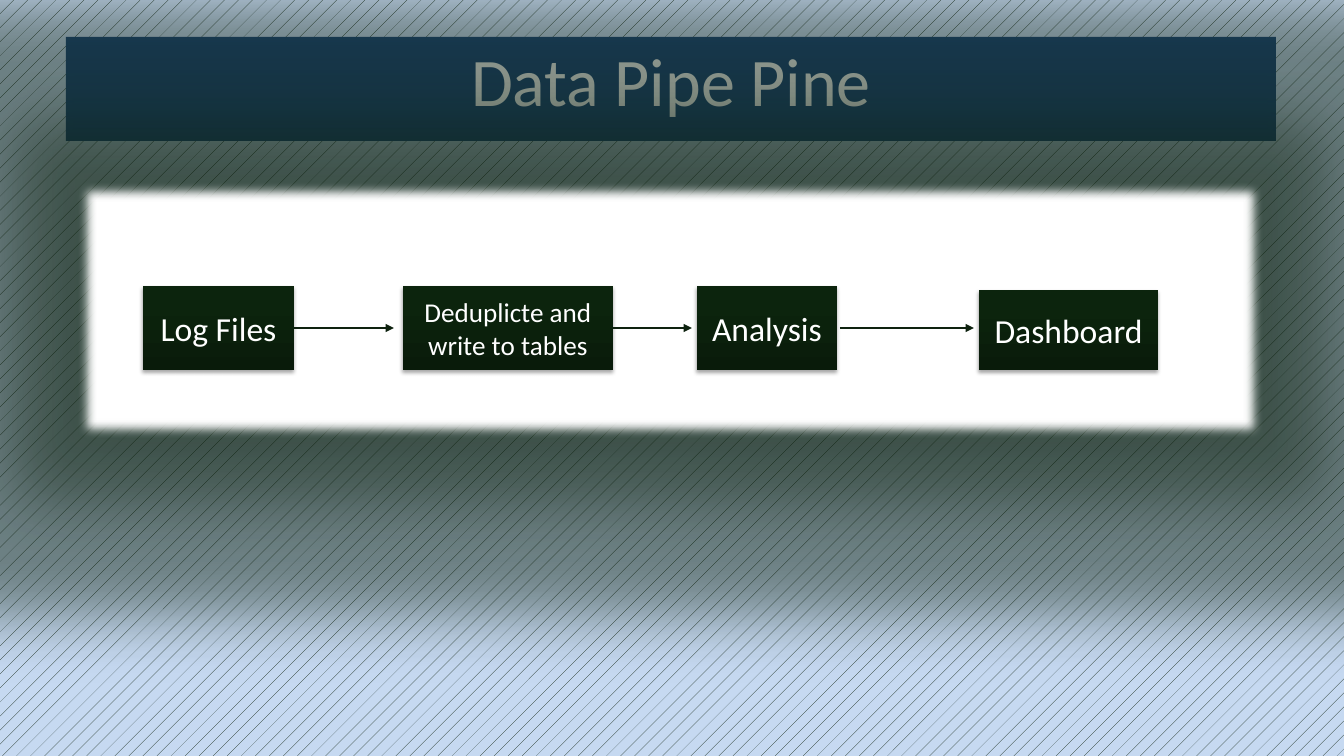
from dataclasses import dataclass

import lxml.etree
import pptx
import pptx.dml.color
import pptx.enum.dml
import pptx.enum.shapes
import pptx.enum.text
import pptx.oxml
import pptx.oxml.ns
import pptx.util
from pptx.shapes.autoshape import Shape
from pptx.slide import Slide

EMU_PER_PX = 914400 / 100.8
DARK_GREEN = "0E220F"
WHITE = "FFFFFF"
ARROW_Y = 328


@dataclass
class Box:
    left: int
    top: int
    width: int
    height: int


@dataclass
class Stage:
    label: str
    box: Box
    size: float = 24


@dataclass
class Arrow:
    start: int
    end: int


TITLE = Box(66, 37, 1210, 104)
PANEL = Box(79, 184, 1184, 254)
STAGES = [
    Stage("Log Files", Box(143, 286, 151, 84)),
    Stage("Deduplicte and write to tables", Box(403, 286, 210, 84), 19.4),
    Stage("Analysis", Box(697, 286, 140, 84)),
    Stage("Dashboard", Box(979, 290, 179, 80)),
]
ARROWS = [Arrow(294, 394), Arrow(613, 692), Arrow(840, 974)]


def px(length: int) -> int:
    return round(length * EMU_PER_PX)


def color(value: str) -> pptx.dml.color.RGBColor:
    return pptx.dml.color.RGBColor.from_string(value)


def effects_xml(*effects: str) -> lxml.etree._Element:
    namespace = pptx.oxml.ns.nsdecls("a")
    return pptx.oxml.parse_xml(f"<a:effectLst {namespace}>{''.join(effects)}</a:effectLst>")


def tint(value: str, percent: int) -> str:
    return f'<a:srgbClr val="{value}"><a:alpha val="{percent * 1000}"/></a:srgbClr>'


def shadow(blur: int, distance: int, value: str, percent: int) -> str:
    """Downward shadow, with blur and distance in px."""
    return (
        f'<a:outerShdw blurRad="{px(blur)}" dist="{px(distance)}" dir="5400000" '
        f'rotWithShape="0">{tint(value, percent)}</a:outerShdw>'
    )


def add_box(slide: Slide, box: Box) -> Shape:
    shape = slide.shapes.add_shape(
        pptx.enum.shapes.MSO_SHAPE.RECTANGLE,
        px(box.left), px(box.top), px(box.width), px(box.height),
    )
    shape.shadow.inherit = False
    shape.line.fill.background()
    return shape


def fill_solid(shape: Shape, value: str) -> None:
    shape.fill.solid()
    shape.fill.fore_color.rgb = color(value)


def set_effects(shape: Shape, *effects: str) -> None:
    properties = shape._element.spPr
    properties.replace(properties.find(pptx.oxml.ns.qn("a:effectLst")), effects_xml(*effects))


def write_centred(shape: Shape, text: str, size: float) -> None:
    frame = shape.text_frame
    frame.word_wrap = True
    frame.vertical_anchor = pptx.enum.text.MSO_ANCHOR.MIDDLE
    paragraph = frame.paragraphs[0]
    paragraph.alignment = pptx.enum.text.PP_ALIGN.CENTER
    run = paragraph.add_run()
    run.text = text
    run.font.color.rgb = color(WHITE)
    for name, value in {"name": "Calibri", "size": pptx.util.Pt(size)}.items():
        setattr(run.font, name, value)


def add_title(slide: Slide) -> None:
    banner = add_box(slide, TITLE)
    fill_solid(banner, "1F497D")
    write_centred(banner, "Data Pipe Pine", 48.6)
    margins = {"margin_left": 13, "margin_right": 13, "margin_top": 7, "margin_bottom": 13}
    for name, value in margins.items():
        setattr(banner.text_frame, name, px(value))
    banner.text_frame.paragraphs[0].line_spacing = 0.85


def add_panel(slide: Slide) -> None:
    panel = add_box(slide, PANEL)
    fill_solid(panel, WHITE)
    set_effects(
        panel,
        f'<a:glow rad="{px(127)}">{tint(DARK_GREEN, 40)}</a:glow>',
        shadow(45, 3, DARK_GREEN, 40),
        f'<a:softEdge rad="{px(7)}"/>',
    )


def add_stage(slide: Slide, stage: Stage) -> None:
    block = add_box(slide, stage.box)
    block.fill.gradient()
    block.fill.gradient_angle = 90
    for stop, (value, position) in zip(
        block.fill.gradient_stops, [("091B0A", 0), ("0C240D", 0.8)]
    ):
        stop.color.rgb = color(value)
        stop.position = position
    set_effects(block, shadow(4, 3, "000000", 35))
    write_centred(block, stage.label, stage.size)


def add_arrow(slide: Slide, arrow: Arrow) -> None:
    connector = slide.shapes.add_connector(
        pptx.enum.shapes.MSO_CONNECTOR.STRAIGHT,
        px(arrow.start), px(ARROW_Y), px(arrow.end), px(ARROW_Y),
    )
    connector.line.color.rgb = color(DARK_GREEN)
    connector.line.width = pptx.util.Pt(0.75)
    head = lxml.etree.SubElement(connector.line._get_or_add_ln(), pptx.oxml.ns.qn("a:tailEnd"))
    head.set("type", "triangle")
    connector._element.spPr.append(effects_xml())


def paint_background(slide: Slide) -> None:
    fill = slide.background.fill
    fill.patterned()
    fill.pattern = pptx.enum.dml.MSO_PATTERN.PERCENT_5
    fill.fore_color.rgb = color("0F2210")
    fill.back_color.rgb = color("C6D9F1")


def main() -> None:
    presentation = pptx.Presentation()
    presentation.slide_width = px(1344)
    presentation.slide_height = px(756)
    slide = presentation.slides.add_slide(presentation.slide_layouts[6])
    paint_background(slide)
    add_title(slide)
    add_panel(slide)
    for stage in STAGES:
        add_stage(slide, stage)
    for arrow in ARROWS:
        add_arrow(slide, arrow)
    presentation.save("out.pptx")


if __name__ == "__main__":
    main()
